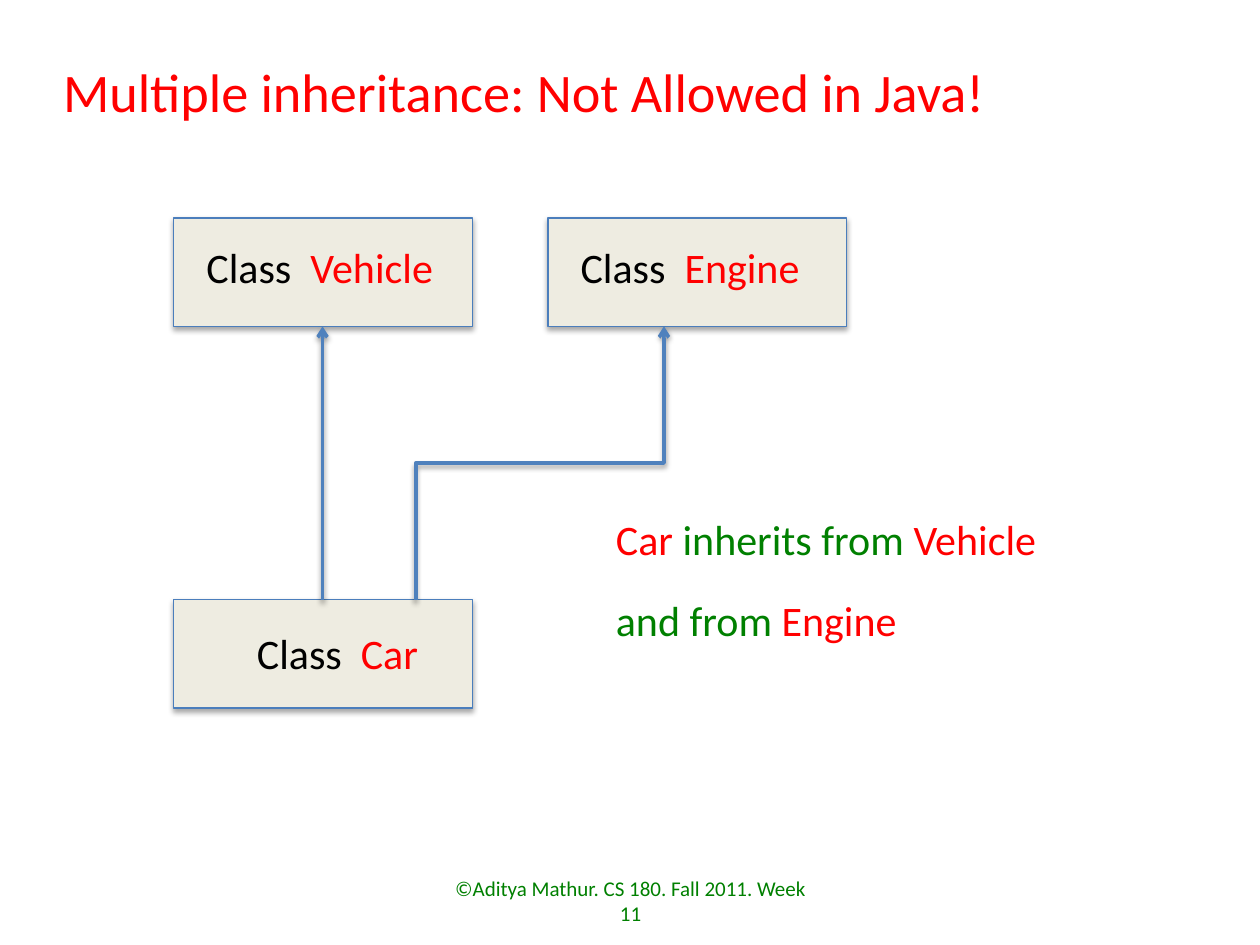
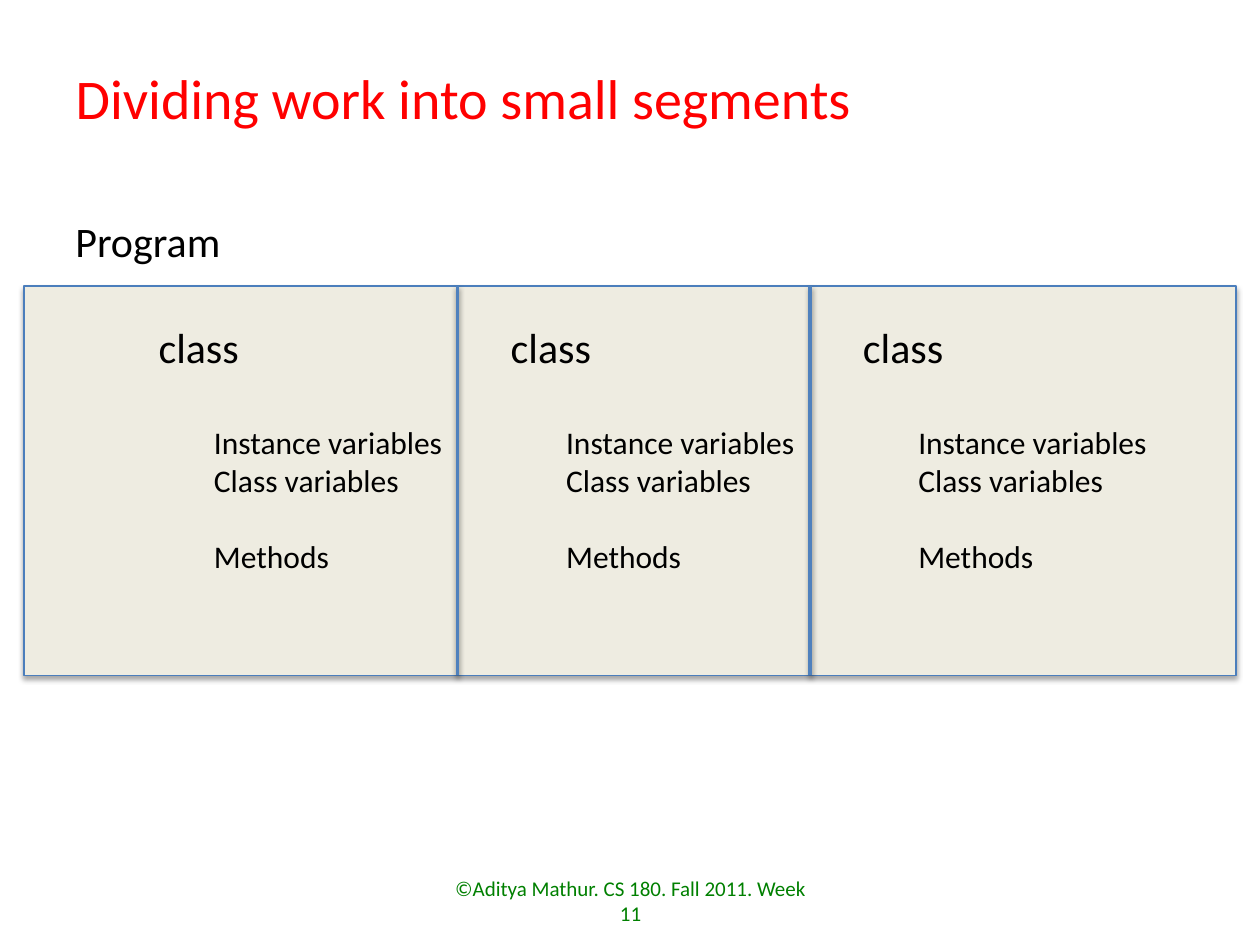
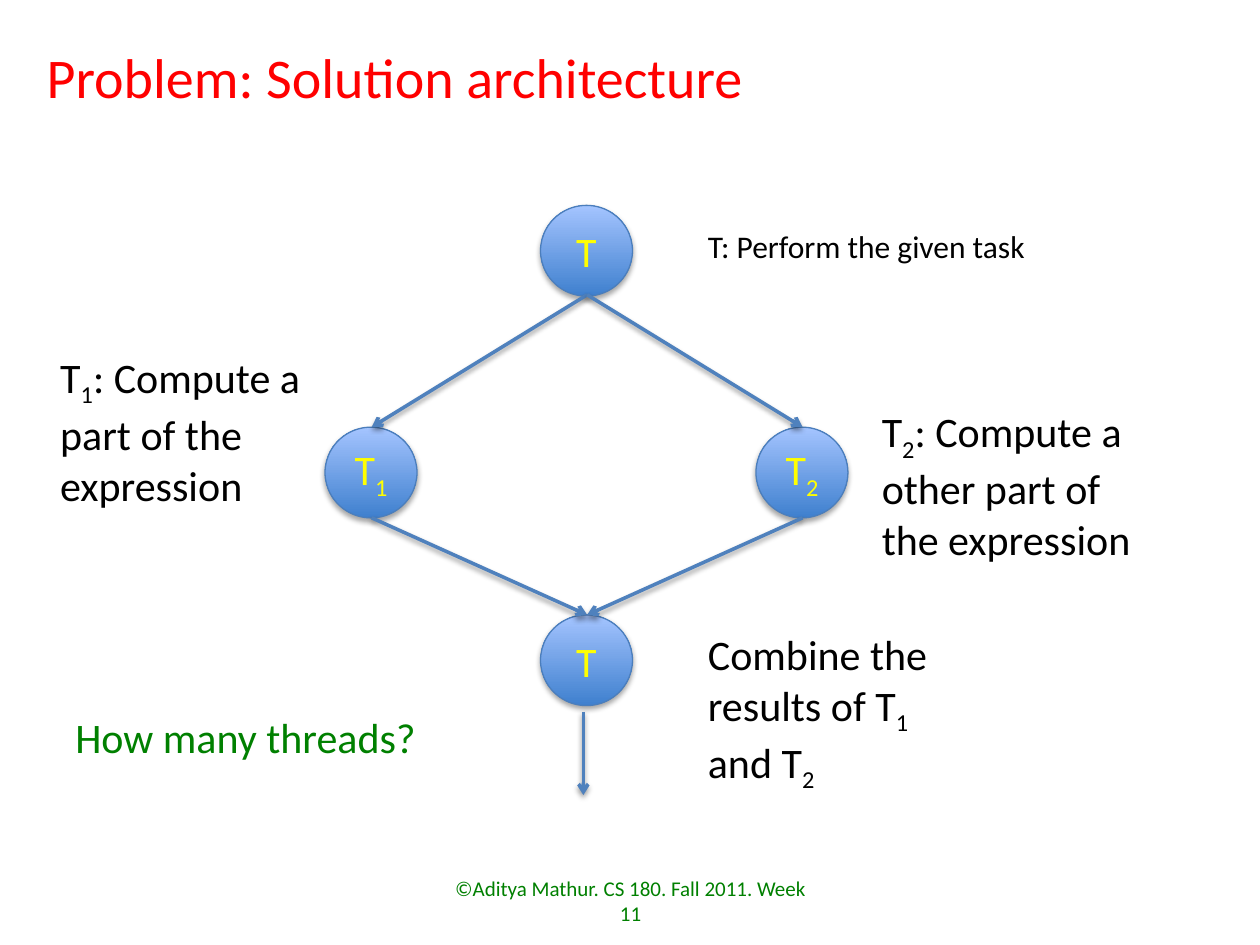
"""Build three slides on inheritance, program structure and threads."""
from lxml import etree
from pptx import Presentation
from pptx.dml.color import RGBColor
from pptx.enum.shapes import MSO_CONNECTOR, MSO_SHAPE
from pptx.enum.text import MSO_ANCHOR, PP_ALIGN
from pptx.oxml.ns import qn
from pptx.util import Inches, Pt

STRAIGHT, ELBOW = MSO_CONNECTOR.STRAIGHT, MSO_CONNECTOR.ELBOW
RECTANGLE, OVAL = MSO_SHAPE.RECTANGLE, MSO_SHAPE.OVAL
LEFT, CENTER = PP_ALIGN.LEFT, PP_ALIGN.CENTER
TOP, MIDDLE = MSO_ANCHOR.TOP, MSO_ANCHOR.MIDDLE
FONT = "Calibri"
COLORS = {
    "red": "FF0000", "green": "008000", "black": "000000", "yellow": "FFFF00",
    "panel": "EEECE1", "outline": "4B7EBC", "link": "4F81BD",
    "node_bottom": "3F80CE", "node_top": "A4C4FF",
}
FOOTER = "©Aditya Mathur. CS 180. Fall 2011. Week 11"


def write_text(frame, paragraphs, size, align=LEFT, anchor=TOP, wrap=True):
    """Fill a frame with paragraphs of (text, color) runs; a third item marks a subscript."""
    frame.word_wrap = wrap
    frame.vertical_anchor = anchor
    for index, runs in enumerate(paragraphs):
        paragraph = frame.add_paragraph() if index else frame.paragraphs[0]
        paragraph.alignment = align
        for text, color, *subscript in runs:
            run = paragraph.add_run()
            run.text = text
            run.font.name = FONT
            run.font.size = Pt(size)
            run.font.color.rgb = RGBColor.from_string(COLORS[color])
            if subscript:
                run.font._element.set("baseline", "-25000")


def style_line(shape, color, width, opacity, arrow=False):
    """Set the line, soft shadow and optional arrowhead of a shape or connector."""
    shape.line.color.rgb = RGBColor.from_string(COLORS[color])
    shape.line.width = Pt(width)
    if arrow:
        etree.SubElement(shape.line._get_or_add_ln(), qn("a:tailEnd"), type="arrow")
    effects = etree.SubElement(shape._element.spPr, qn("a:effectLst"))
    shadow = etree.SubElement(effects, qn("a:outerShdw"), blurRad=str(Pt(3.1)),
                              dist=str(Pt(1.8)), dir="5400000", rotWithShape="0")
    shadow_color = etree.SubElement(shadow, qn("a:srgbClr"), val=COLORS["black"])
    etree.SubElement(shadow_color, qn("a:alpha"), val=str(opacity * 1000))


presentation = Presentation()
presentation.slide_width = Inches(10)
presentation.slide_height = Inches(7.5)

titles = [
    ("Multiple inheritance: Not Allowed in Java!", 31, (0.4, 0.4, 8.16, 0.62)),
    ("Dividing work into small segments", 32, (0.5, 0.46, 7.92, 1.07)),
    ("Problem: Solution architecture", 32, (0.27, 0.29, 7.92, 0.67)),
]
slides = []
for text, size, box in titles:
    slide = presentation.slides.add_slide(presentation.slide_layouts[5])
    title = slide.shapes.title
    title.left, title.top, title.width, title.height = map(Inches, box)
    write_text(title.text_frame, [[(text, "red")]], size)
    title.text_frame.paragraphs[0].line_spacing = Pt(38)
    footer = slide.shapes.add_textbox(*map(Inches, (3.42, 6.95, 3.17, 0.4)))
    write_text(footer.text_frame, [[(FOOTER, "green")]], 12, CENTER, MIDDLE)
    slides.append(slide)
inheritance_slide, program_slide, threads_slide = slides

panels = [
    (inheritance_slide, (1.38, 1.73, 2.37, 0.86)),
    (inheritance_slide, (4.35, 1.73, 2.37, 0.86)),
    (inheritance_slide, (1.38, 4.76, 2.37, 0.86)),
    (program_slide, (0.19, 2.27, 9.62, 3.09)),
]
for slide, box in panels:
    panel = slide.shapes.add_shape(RECTANGLE, *map(Inches, box))
    panel.fill.solid()
    panel.fill.fore_color.rgb = RGBColor.from_string(COLORS["panel"])
    style_line(panel, "outline", 0.75, 35)

NODE_WIDTH, NODE_HEIGHT = 0.73, 0.72
nodes = [
    (4.29, 1.63, [("T", "yellow")]),
    (2.58, 3.39, [("T", "yellow"), ("1", "yellow", True)]),
    (6, 3.39, [("T", "yellow"), ("2", "yellow", True)]),
    (4.29, 4.88, [("T", "yellow")]),
]
for left, top, runs in nodes:
    node = threads_slide.shapes.add_shape(
        OVAL, *map(Inches, (left, top, NODE_WIDTH, NODE_HEIGHT)))
    node.fill.gradient()
    node.fill.gradient_angle = 90
    for stop, color in zip(node.fill.gradient_stops, ("node_bottom", "node_top")):
        stop.color.rgb = RGBColor.from_string(COLORS[color])
    style_line(node, "outline", 0.75, 35)
    write_text(node.text_frame, [runs], 24, CENTER, MIDDLE, wrap=False)

links = [
    (inheritance_slide, (2.56, 4.76, 2.56, 2.59), True),
    (program_slide, (3.63, 2.27, 3.63, 5.36), False),
    (program_slide, (6.43, 2.27, 6.43, 5.36), False),
    (threads_slide, (4.63, 5.65, 4.63, 6.31), True),
]
for side in (2.95, 6.37):
    links.append((threads_slide, (4.66, 2.34, side, 3.39), True))
    links.append((threads_slide, (side, 4.11, 4.66, 4.88), True))
for slide, ends, arrow in links:
    link = slide.shapes.add_connector(STRAIGHT, *map(Inches, ends))
    style_line(link, "link", 2, 38, arrow)

engine_link = inheritance_slide.shapes.add_connector(
    ELBOW, *map(Inches, (5.37, 4.66, 3.2, 2.69)))
engine_link._element.spPr.find(qn("a:xfrm")).set("rot", "5400000")
style_line(engine_link, "link", 2, 38, True)

labels = [
    (inheritance_slide, (1.54, 1.87, 2.03, 0.5), 24, False,
     [("Class  ", "black"), ("Vehicle", "red")]),
    (inheritance_slide, (4.51, 1.87, 1.96, 0.5), 24, False,
     [("Class  ", "black"), ("Engine", "red")]),
    (inheritance_slide, (1.94, 4.93, 1.49, 0.5), 24, False,
     [("Class  ", "black"), ("Car", "red")]),
    (inheritance_slide, (4.79, 4.03, 3.59, 0.5), 24, False,
     [("Car", "red"), (" inherits from ", "green"), ("Vehicle", "red")]),
    (inheritance_slide, (4.79, 4.67, 3.03, 0.5), 24, True,
     [("and from ", "green"), ("Engine", "red")]),
    (program_slide, (0.5, 1.66, 1.36, 0.5), 24, False, [("Program", "black")]),
    (threads_slide, (5.52, 1.75, 3.15, 0.4), 18, True,
     [("T: Perform the given task", "black")]),
    (threads_slide, (0.38, 2.74, 2.33, 1.31), 24, True,
     [("T", "black"), ("1", "black", True),
      (": Compute a part of the expression", "black")]),
    (threads_slide, (6.9, 3.17, 2.33, 1.31), 24, True,
     [("T", "black"), ("2", "black", True),
      (": Compute a other part of the expression", "black")]),
    (threads_slide, (5.52, 4.94, 2.33, 1.31), 24, True,
     [("Combine the results of T", "black"), ("1", "black", True),
      (" and T", "black"), ("2", "black", True)]),
    (threads_slide, (0.5, 5.6, 2.93, 0.5), 24, False,
     [("How many threads?", "green")]),
]
for slide, box, size, wrap, runs in labels:
    label = slide.shapes.add_textbox(*map(Inches, box))
    write_text(label.text_frame, [runs], size, wrap=wrap)

class_members = ["Instance variables", "Class variables", "Methods"]
for column in range(3):
    left = 1.16 + 2.795 * column
    heading = program_slide.shapes.add_textbox(*map(Inches, (left, 2.5, 0.85, 0.5)))
    write_text(heading.text_frame, [[("class", "black")]], 24, wrap=False)
    members = program_slide.shapes.add_textbox(
        *map(Inches, (left + 0.44, 3.31, 2.03, 1.62)))
    write_text(members.text_frame, [[(member, "black")] for member in class_members],
               18, wrap=False)
    members.text_frame.paragraphs[-1].space_before = Pt(21.6)

presentation.save("out.pptx")
